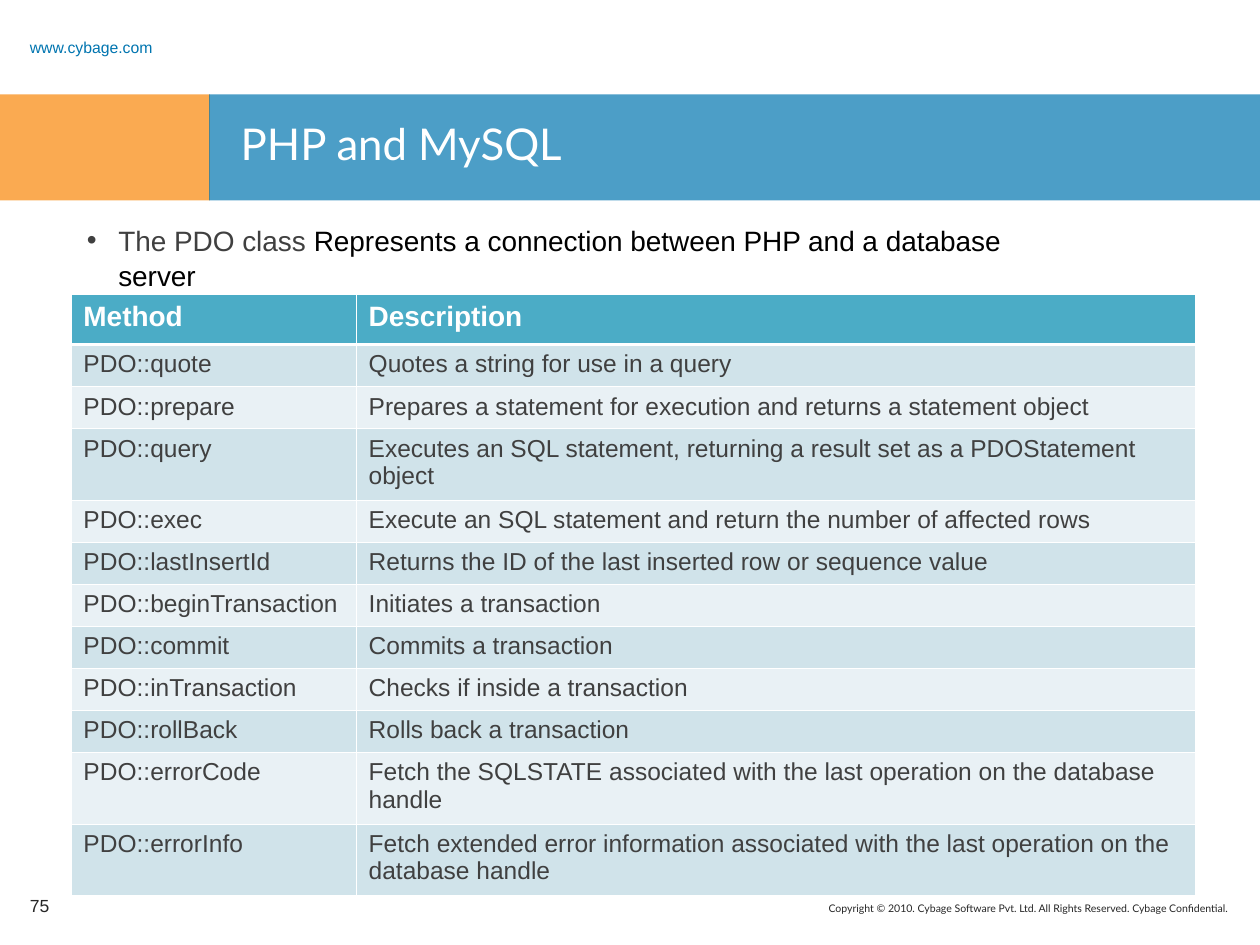
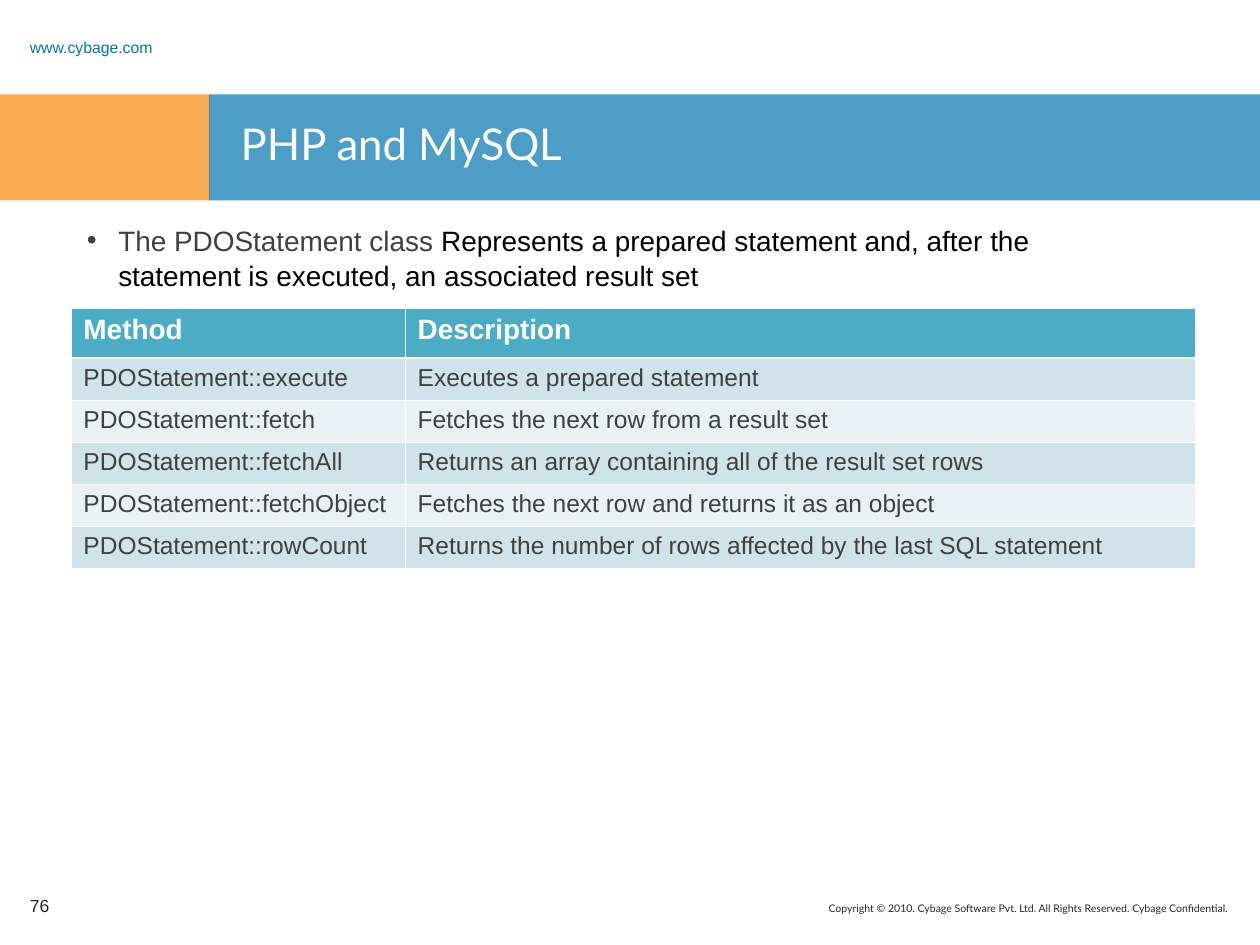
from dataclasses import dataclass
from typing import NamedTuple

from lxml.etree import SubElement
from pptx import Presentation
from pptx.dml.color import RGBColor
from pptx.enum.shapes import MSO_SHAPE
from pptx.enum.text import MSO_ANCHOR, PP_ALIGN
from pptx.oxml import parse_xml
from pptx.oxml.ns import nsdecls, qn
from pptx.slide import Slide
from pptx.table import _Cell as Cell
from pptx.text.text import _Paragraph as Paragraph
from pptx.util import Pt

WHITE = RGBColor(0xFF, 0xFF, 0xFF)
BLACK = RGBColor(0x00, 0x00, 0x00)
ORANGE = RGBColor(0xF8, 0x86, 0x08)
BLUE = RGBColor(0x00, 0x75, 0xB0)
DARK_GRAY = RGBColor(0x26, 0x26, 0x26)
GRAY = RGBColor(0x40, 0x40, 0x40)
TEAL = RGBColor(0x4B, 0xAC, 0xC6)
ROW_TINTS = (RGBColor(0xD0, 0xE3, 0xEA), RGBColor(0xE9, 0xF1, 0xF5))

BAND_OPACITY = 70
BULLET_INDENT = 18
TABLE_LEFT = 40.5
TABLE_WIDTH = 642.5
HEADER_HEIGHT = 28.5
ROW_HEIGHT = 24
TALL_ROW_HEIGHT = 40.8
THIN_BORDER = 0.45
THICK_BORDER = 1.47


class Box(NamedTuple):
    left: float
    top: float
    width: float
    height: float

    def lengths(self) -> list[Pt]:
        return [Pt(value) for value in self]


class TextStyle(NamedTuple):
    size: float
    color: RGBColor
    font: str = "Arial"
    bold: bool = False


class Band(NamedTuple):
    box: Box
    color: RGBColor


@dataclass
class Label:
    text: str
    box: Box
    style: TextStyle
    anchor: MSO_ANCHOR = MSO_ANCHOR.TOP
    alignment: PP_ALIGN = PP_ALIGN.LEFT
    line_spacing: float = 1.0


class Method(NamedTuple):
    name: str
    description: str
    height: float = ROW_HEIGHT


@dataclass
class ClassPage:
    number: int
    class_name: str
    summary: str
    table_top: float
    name_width: float
    methods: list[Method]


TITLE_STYLE = TextStyle(25, WHITE, "Lato")
NUMBER_STYLE = TextStyle(10, DARK_GRAY)
CLASS_STYLE = TextStyle(16, GRAY)
SUMMARY_STYLE = TextStyle(16, BLACK)
HEADER_STYLE = TextStyle(16, WHITE, bold=True)
CELL_STYLE = TextStyle(14, GRAY)

BODY_BOX = Box(42.5, 123.1, 572.4, 284.4)
NUMBER_BOX = Box(10, 503.3, 38.9, 28.8)

BANDS = [
    Band(Box(0, 54, 120, 60.5), ORANGE),
    Band(Box(119.5, 54, 600.5, 60.5), BLUE),
]
SHARED_LABELS = [
    Label("Copyright © 2010. Cybage Software Pvt. Ltd. All Rights Reserved. Cybage Confidential.",
          Box(293.8, 511.9, 414.7, 18.7), TextStyle(6, DARK_GRAY, "Lato"),
          alignment=PP_ALIGN.RIGHT),
    Label("www.cybage.com", Box(10, 17.3, 108, 13.7), TextStyle(9, BLUE),
          MSO_ANCHOR.MIDDLE, line_spacing=1.5),
    Label("PHP and MySQL", Box(130.5, 63.4, 571.7, 44.6), TITLE_STYLE),
]

PAGES = [
    ClassPage(75, "PDO", "Represents a connection between PHP and a database server", 168.3, 163, [
        Method("PDO::quote", "Quotes a string for use in a query"),
        Method("PDO::prepare",
               "Prepares a statement for execution and returns a statement object"),
        Method("PDO::query",
               "Executes an SQL statement, returning a result set as a PDOStatement object",
               TALL_ROW_HEIGHT),
        Method("PDO::exec", "Execute an SQL statement and return the number of affected rows"),
        Method("PDO::lastInsertId", "Returns the ID of the last inserted row or sequence value"),
        Method("PDO::beginTransaction", "Initiates a transaction"),
        Method("PDO::commit", "Commits a transaction"),
        Method("PDO::inTransaction", "Checks if inside a transaction"),
        Method("PDO::rollBack", "Rolls back a transaction"),
        Method("PDO::errorCode",
               "Fetch the SQLSTATE associated with the last operation on the database handle",
               TALL_ROW_HEIGHT),
        Method("PDO::errorInfo",
               "Fetch extended error information associated with the last operation "
               "on the database handle", TALL_ROW_HEIGHT),
    ]),
    ClassPage(76, "PDOStatement",
              "Represents a prepared statement and, after the statement is executed, "
              "an associated result set", 176, 191, [
        Method("PDOStatement::execute", "Executes a prepared statement"),
        Method("PDOStatement::fetch", "Fetches the next row from a result set"),
        Method("PDOStatement::fetchAll", "Returns an array containing all of the result set rows"),
        Method("PDOStatement::fetchObject", "Fetches the next row and returns it as an object"),
        Method("PDOStatement::rowCount",
               "Returns the number of rows affected by the last SQL statement"),
    ]),
]


def add_run(paragraph: Paragraph, text: str, style: TextStyle) -> None:
    run = paragraph.add_run()
    run.text = text
    run.font.size = Pt(style.size)
    run.font.name = style.font
    run.font.bold = style.bold
    run.font.color.rgb = style.color


def add_text_box(slide: Slide, box: Box, anchor: MSO_ANCHOR = MSO_ANCHOR.TOP) -> Paragraph:
    frame = slide.shapes.add_textbox(*box.lengths()).text_frame
    frame.word_wrap = True
    frame.vertical_anchor = anchor
    return frame.paragraphs[0]


def add_label(slide: Slide, label: Label) -> None:
    paragraph = add_text_box(slide, label.box, label.anchor)
    paragraph.alignment = label.alignment
    paragraph.line_spacing = label.line_spacing
    add_run(paragraph, label.text, label.style)


def add_band(slide: Slide, band: Band) -> None:
    shape = slide.shapes.add_shape(MSO_SHAPE.RECTANGLE, *band.box.lengths())
    shape.shadow.inherit = False
    shape.fill.solid()
    shape.fill.fore_color.rgb = band.color
    shape.line.fill.background()
    color = shape.fill._xPr.find(qn("a:solidFill"))[0]
    SubElement(color, qn("a:alpha"), val=str(BAND_OPACITY * 1000))


def add_summary(slide: Slide, page: ClassPage) -> None:
    paragraph = add_text_box(slide, BODY_BOX)
    paragraph.line_spacing = 1.05
    properties = paragraph._p.get_or_add_pPr()
    properties.set("marL", str(Pt(BULLET_INDENT)))
    properties.set("indent", str(-Pt(BULLET_INDENT)))
    bullet_color = SubElement(properties, qn("a:buClr"))
    SubElement(bullet_color, qn("a:srgbClr"), val=str(GRAY))
    SubElement(properties, qn("a:buFont"), typeface="Arial")
    SubElement(properties, qn("a:buChar"), char="•")
    add_run(paragraph, f"The {page.class_name} class ", CLASS_STYLE)
    add_run(paragraph, page.summary, SUMMARY_STYLE)


def set_borders(cell: Cell, top: float, bottom: float) -> None:
    properties = cell._tc.get_or_add_tcPr()
    sides = {"lnL": THIN_BORDER, "lnR": THIN_BORDER, "lnT": top, "lnB": bottom}
    for position, (side, width) in enumerate(sides.items()):
        properties.insert(position, parse_xml(
            f'<a:{side} {nsdecls("a")} w="{Pt(width)}"><a:solidFill>'
            f'<a:srgbClr val="{WHITE}"/></a:solidFill></a:{side}>'))


def add_method_table(slide: Slide, page: ClassPage) -> None:
    rows = [Method("Method", "Description", HEADER_HEIGHT), *page.methods]
    box = Box(TABLE_LEFT, page.table_top, TABLE_WIDTH, sum(row.height for row in rows))
    table = slide.shapes.add_table(len(rows), 2, *box.lengths()).table
    table.columns[0].width = Pt(page.name_width)
    table.columns[1].width = Pt(TABLE_WIDTH - page.name_width)
    for index, row in enumerate(rows):
        is_header = index == 0
        table.rows[index].height = Pt(row.height)
        for column, text in enumerate((row.name, row.description)):
            cell = table.cell(index, column)
            cell.fill.solid()
            cell.fill.fore_color.rgb = TEAL if is_header else ROW_TINTS[(index - 1) % 2]
            set_borders(cell, THICK_BORDER if index == 1 else THIN_BORDER,
                        THICK_BORDER if is_header else THIN_BORDER)
            add_run(cell.text_frame.paragraphs[0], text,
                    HEADER_STYLE if is_header else CELL_STYLE)


def add_page(presentation: Presentation, page: ClassPage) -> None:
    slide = presentation.slides.add_slide(presentation.slide_layouts[6])
    for band in BANDS:
        add_band(slide, band)
    for label in SHARED_LABELS:
        add_label(slide, label)
    add_summary(slide, page)
    add_label(slide, Label(str(page.number), NUMBER_BOX, NUMBER_STYLE, MSO_ANCHOR.MIDDLE))
    add_method_table(slide, page)


def main() -> None:
    presentation = Presentation()
    presentation.slide_width = Pt(720)
    presentation.slide_height = Pt(540)
    for page in PAGES:
        add_page(presentation, page)
    presentation.save("out.pptx")


if __name__ == "__main__":
    main()
